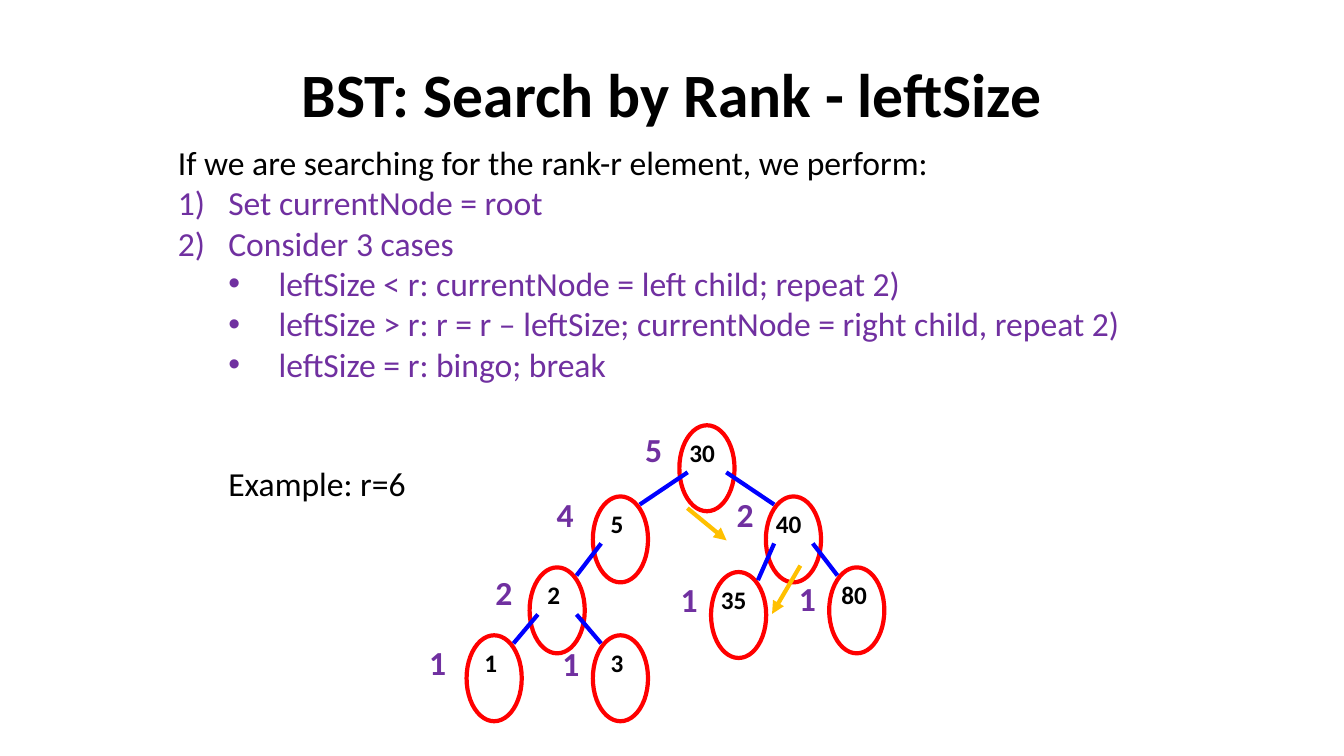
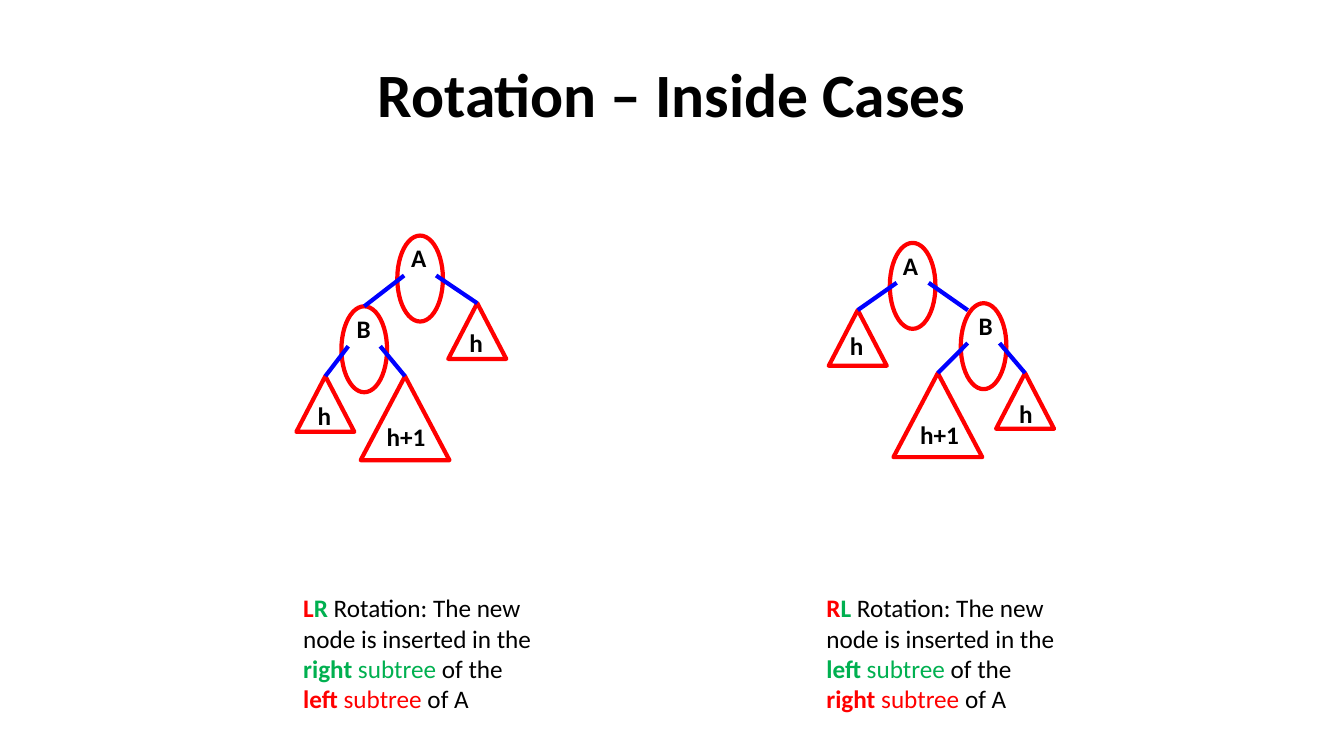
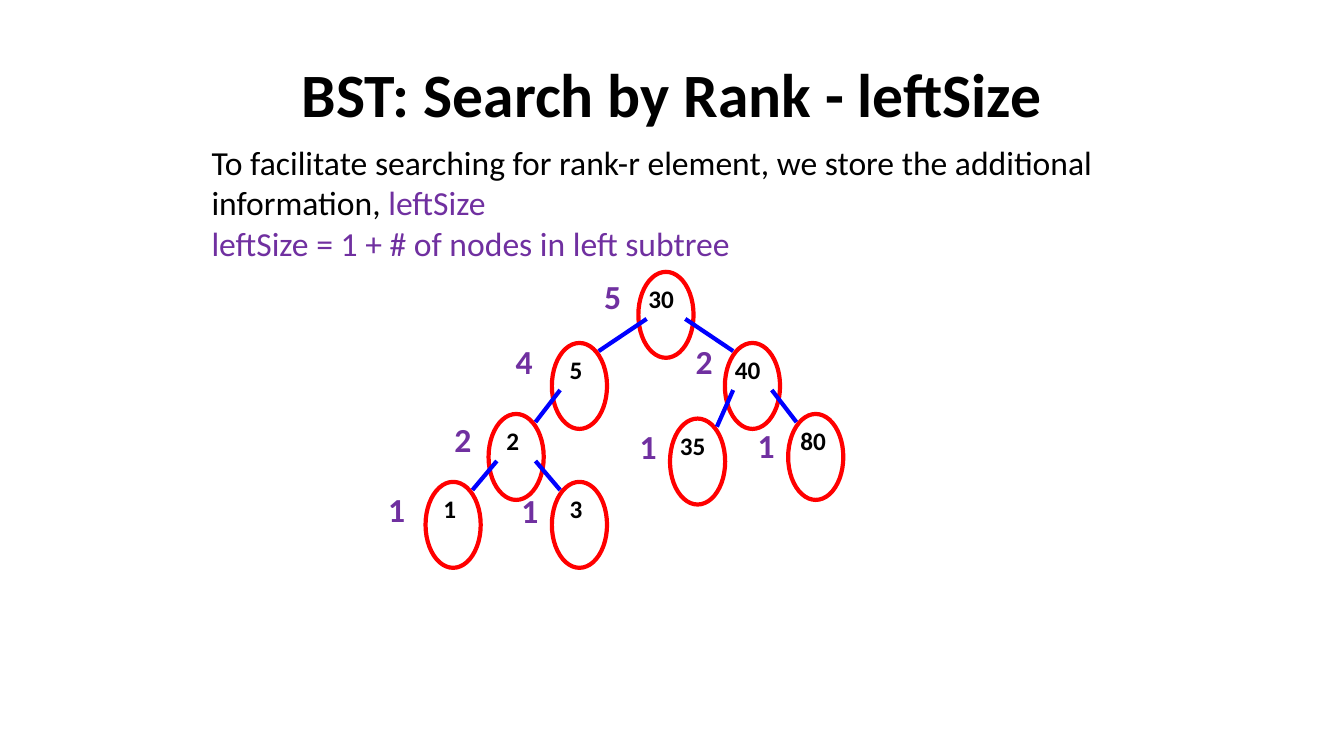
import pptx
import pptx.util
import pptx.dml.color
import pptx.enum.shapes
import pptx.enum.text
import pptx.oxml
import pptx.oxml.ns

Pt = pptx.util.Pt
SHAPE = pptx.enum.shapes.MSO_SHAPE
CONNECTOR = pptx.enum.shapes.MSO_CONNECTOR
ALIGN = pptx.enum.text.PP_ALIGN
ANCHOR = pptx.enum.text.MSO_ANCHOR
AUTO = pptx.enum.text.MSO_AUTO_SIZE
qn = pptx.oxml.ns.qn

# Shared style
FONT = "Calibri"
BLACK, RED, BLUE = "000000", "FF0000", "0000FF"
PURPLE, GREEN, ORANGE = "7030A0", "00B050", "FFC000"
LINE_WIDTH = 3
NODE_INSETS = {"margin_top": Pt(10.8), "margin_bottom": Pt(10.8)}
BULLETS = {  # kind: (level, left margin, tag, attributes)
    "number": (0, 36, "a:buAutoNum", {"type": "arabicParenR"}),
    "dot": (1, 72, "a:buChar", {"char": "•"}),
}

# Search tree: value, parent, side, offset from root, value indent,
# leftSize, offset of leftSize from the node
BST_SIZE = (39.4, 61.4)
BST_NODES = [
    ("30", None, None, (0, 0), 0, "5", (-31.5, -1)),
    ("5", "30", "left", (-61.8, 50.8), 5.6, "4", (-33, -5)),
    ("40", "30", "right", (61.8, 50.8), 0, "2", (-28, -5)),
    ("2", "5", "left", (-107, 101.5), 5.6, "2", (-31.5, 0)),
    ("35", "40", "left", (22.6, 104.8), 0, "1", (-28.8, 1.4)),
    ("80", "40", "right", (107, 101.5), 1.6, "1", (-28.8, 4.3)),
    ("1", "2", "left", (-152, 150), 5.6, "1", (-33.8, 1.4)),
    ("3", "2", "right", (-61.8, 150), 5.6, "1", (-28.8, 2.2)),
]

# Rotation trees: kind, label, place, label offset, parent index, side
ROTATION_SIZES = {
    "node": (SHAPE.OVAL, 32.6, 61.4, 32.4),
    "subtree": (SHAPE.ISOSCELES_TRIANGLE, 41.4, 39.8, 32.4),
    "tall": (SHAPE.ISOSCELES_TRIANGLE, 63.4, 60, 53.3),
}
LR_TREE = [
    ("node", "A", (283.8, 168.3), (2.8, -6.2), None, None),
    ("node", "B", (243.9, 218.8), (3.8, -5.8), 0, "left"),
    ("subtree", "h", (320.2, 216.6), (8, 6.5), 0, "right"),
    ("subtree", "h", (211.7, 268.7), (8, 6.5), 1, "left"),
    ("tall", "h+1", (257.6, 268.7), (11.5, 21.5), 1, "right"),
]
RL_TREE = [
    ("node", "A", (635.6, 173.5), (2.3, -5.8), None, None),
    ("node", "B", (686.3, 216.6), (5.6, -5.8), 0, "right"),
    ("subtree", "h", (592, 221.5), (8, 3.9), 0, "left"),
    ("tall", "h+1", (638.2, 266.5), (12, 22.3), 1, "left"),
    ("subtree", "h", (711.5, 266.5), (9.3, 7.1), 1, "right"),
]


def rgb(color):
    return pptx.dml.color.RGBColor.from_string(color)


def set_all(obj, values):
    for name, value in values.items():
        setattr(obj, name, value)


def add_bullet(p, kind):
    level, margin, tag, attrs = BULLETS[kind]
    p.level = level
    pPr = p._p.get_or_add_pPr()
    pPr.set("marL", str(Pt(margin)))
    pPr.set("indent", str(-Pt(36)))
    if kind == "dot":
        pPr.append(pptx.oxml.parse_xml(
            f'<a:buFont {pptx.oxml.ns.nsdecls("a")} typeface="Arial"/>'))
    bu = pPr.makeelement(qn(tag), attrs)
    pPr.append(bu)


def add_text(s, box, paragraphs, size, bold=False, align=ALIGN.LEFT, frame=None):
    """Each paragraph is (bullet kind or None, [(text, color[, bold]), ...])."""
    tf = s.shapes.add_textbox(*map(Pt, box)).text_frame
    set_all(tf, {"word_wrap": True, "auto_size": AUTO.SHAPE_TO_FIT_TEXT,
                 **(frame or {})})
    for i, (bullet, runs) in enumerate(paragraphs):
        p = tf.add_paragraph() if i else tf.paragraphs[0]
        p.alignment = align
        if bullet:
            add_bullet(p, bullet)
        for text, color, *own_bold in runs:
            r = p.add_run()
            r.text = text
            set_all(r.font, {"name": FONT, "size": Pt(size),
                             "bold": own_bold[0] if own_bold else bold})
            r.font.color.rgb = rgb(color)


def add_label(s, box, text, size, color=BLACK, **options):
    add_text(s, box, [(None, [(text, color)])], size, **options)


def add_slide(prs, title):
    s = prs.slides.add_slide(prs.slide_layouts[6])
    add_label(s, (48, 21.6, 864, 90), title, 44, bold=True, align=ALIGN.CENTER,
              frame={"vertical_anchor": ANCHOR.MIDDLE, "auto_size": AUTO.NONE})
    return s


def add_line(s, start, end, color=BLUE, arrow=False):
    c = s.shapes.add_connector(CONNECTOR.STRAIGHT, *map(Pt, (*start, *end)))
    c.line.width = Pt(LINE_WIDTH)
    c.line.color.rgb = rgb(color)
    if arrow:
        ln = c.line._get_or_add_ln()
        ln.append(ln.makeelement(qn("a:tailEnd"), {"type": "triangle"}))
    spPr = c._element.spPr
    spPr.append(spPr.makeelement(qn("a:effectLst"), {}))
    return c


def add_node(s, shape, place, size, label, offset, label_width):
    x, y = place
    sp = s.shapes.add_shape(shape, *map(Pt, (x, y, *size)))
    sp.shadow.inherit = False
    sp.fill.background()
    sp.line.width = Pt(LINE_WIDTH)
    sp.line.color.rgb = rgb(RED)
    add_label(s, (x + offset[0], y + offset[1], label_width, 43.9), label, 18,
              bold=True, frame=NODE_INSETS)
    return sp


def edge_start(place, width, side):
    """Point inside a parent ellipse where its left or right edge begins."""
    inset = width * 0.15
    return place[0] + (inset if side == "left" else width - inset), place[1]


def add_search_tree(s, x, y):
    width = BST_SIZE[0]
    places = {}
    for value, parent, side, (dx, dy), indent, left_size, (lx, ly) in BST_NODES:
        place = places[value] = (x + dx, y + dy)
        add_node(s, SHAPE.OVAL, place, BST_SIZE, value, (indent, -2.4),
                 34.6 + 5 * len(value))
        add_label(s, (place[0] + lx, place[1] + ly, 28.8, 36), left_size, 24,
                  PURPLE, bold=True)
        if parent:
            px, py = edge_start(places[parent], width, side)
            # The child end mirrors the parent end
            cx, cy = edge_start(place, width, "right" if side == "left" else "left")
            add_line(s, (px, py + 33.6), (cx, cy + 5.8))


def add_rotation_tree(s, tree):
    for kind, label, place, offset, parent, side in tree:
        shape, width, height, label_width = ROTATION_SIZES[kind]
        sp = add_node(s, shape, place, (width, height), label, offset, label_width)
        if parent is None:
            continue
        px, py = edge_start(tree[parent][2], ROTATION_SIZES["node"][1], side)
        start = (px, py + 28.5)
        if kind == "node" and side == "right":
            add_line(s, start, (place[0] + 5, place[1] + 5))
        else:
            top = (place[0] + width / 2, place[1])
            add_line(s, start, top).end_connect(sp, 0)


def add_rotation_note(s, x, first, second, outer, inner):
    add_text(s, (x, 419.8, 180, 94.5), [(None, [
        (first, RED, True), (second, GREEN, True),
        (" Rotation: The new node is inserted in the ", BLACK),
        (inner, GREEN, True), (" subtree", GREEN), (" of the ", BLACK),
        (outer, RED, True), (" subtree", RED), (" of A", BLACK)])], 18)


def main():
    prs = pptx.Presentation()
    set_all(prs, {"slide_width": Pt(960), "slide_height": Pt(540)})

    # Search steps with an example
    s = add_slide(prs, "BST: Search by Rank - leftSize")
    add_search_tree(s, 485.3, 303.8)
    steps = [
        ("number", "Set currentNode = root"),
        ("number", "Consider 3 cases"),
        ("dot", "leftSize < r: currentNode = left child; repeat 2)"),
        ("dot", "leftSize > r: r = r – leftSize; currentNode = right child, repeat 2)"),
        ("dot", "leftSize = r: bingo; break"),
    ]
    intro = "If we are searching for the rank-r element, we perform:"
    add_text(s, (120, 97.9, 720, 181.4), [(None, [(intro, BLACK)])]
             + [(kind, [(text, PURPLE)]) for kind, text in steps], 24)
    add_label(s, (156, 326.9, 143.3, 36), "Example: r=6", 24)
    add_line(s, (491, 363), (519, 386), ORANGE, arrow=True)
    add_line(s, (571.7, 404), (551.5, 438.5), ORANGE, arrow=True)

    # Inside rotations
    s = add_slide(prs, "Rotation – Inside Cases")
    add_rotation_tree(s, RL_TREE)
    add_rotation_tree(s, LR_TREE)
    add_rotation_note(s, 209.5, "L", "R", "left", "right")
    add_rotation_note(s, 583.2, "R", "L", "right", "left")

    # Definition of leftSize
    s = add_slide(prs, "BST: Search by Rank - leftSize")
    add_search_tree(s, 456, 194.2)
    add_text(s, (144, 97.9, 672, 94.3), [
        (None, [("To facilitate searching for rank-r element, we store the "
                 "additional information, ", BLACK), ("leftSize", PURPLE)]),
        (None, [("leftSize = 1 + # of nodes in left subtree", PURPLE)])], 24)

    prs.save("out.pptx")


if __name__ == "__main__":
    main()
